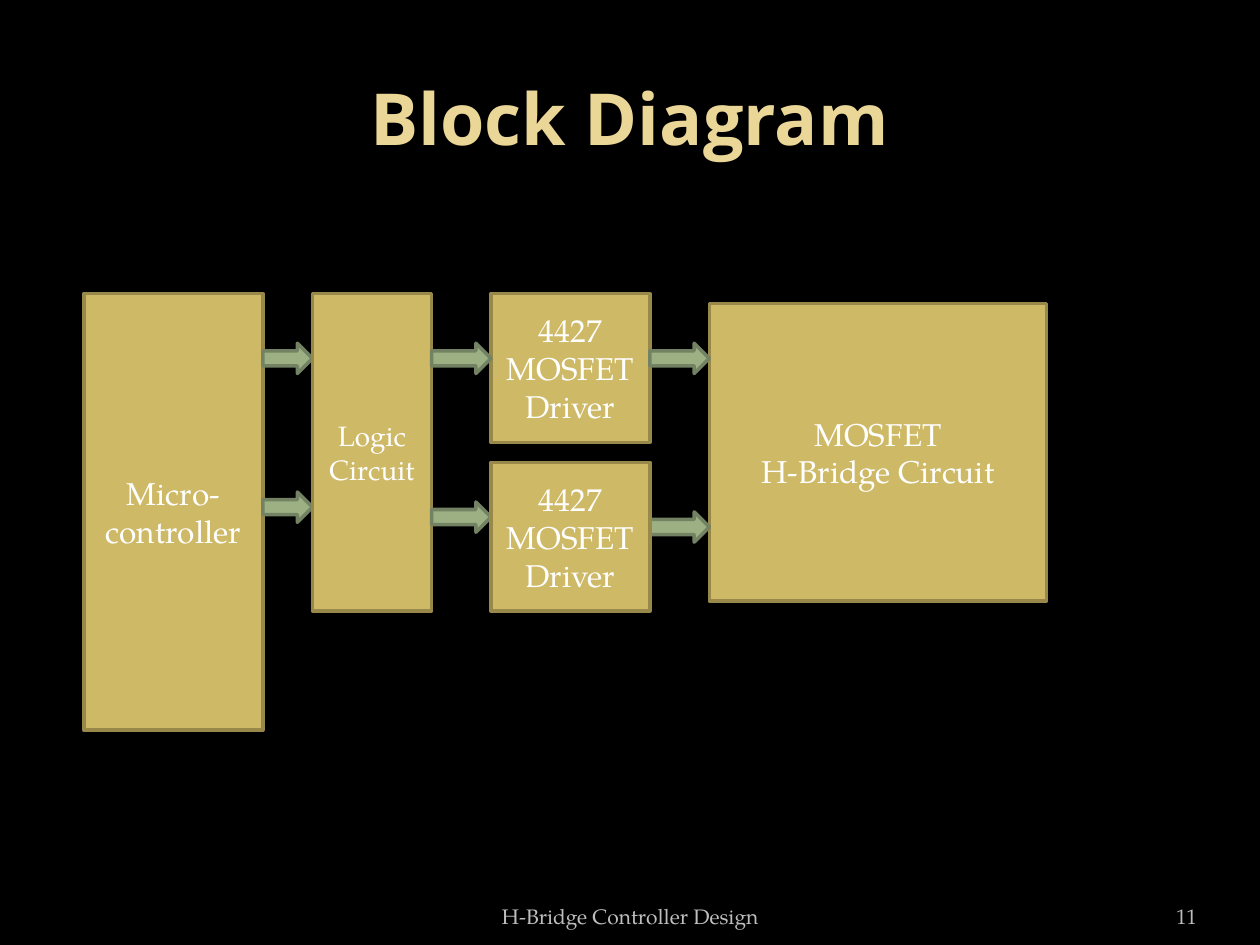
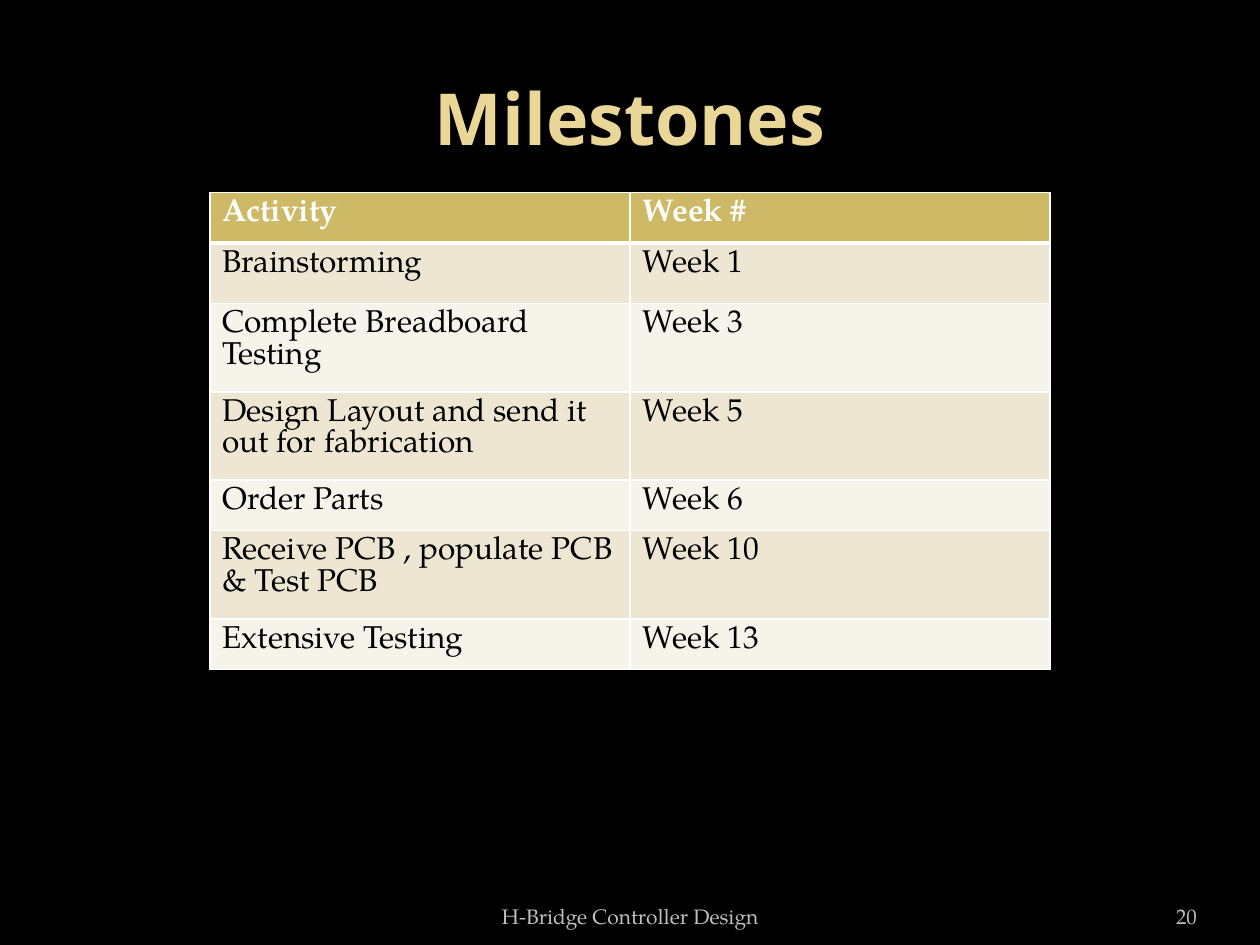
import lxml.etree
import pptx
import pptx.dml.color
import pptx.enum.shapes
import pptx.enum.text
import pptx.oxml.ns
import pptx.util

Cm = pptx.util.Cm
Pt = pptx.util.Pt
ALIGN = pptx.enum.text.PP_ALIGN
ANCHOR = pptx.enum.text.MSO_ANCHOR
SHAPE = pptx.enum.shapes.MSO_SHAPE

COLORS = {
    "background": "000000",
    "title": "EAD696",
    "footer": "BDBDBD",
    "block": "CEB966",
    "block_edge": "98894B",
    "arrow": "9CB084",
    "arrow_edge": "738262",
    "light": "FFFFFF",
    "dark": "000000",
    "odd_row": "EDE6D3",
    "even_row": "F6F3EA",
}
HEADING_FONT = "Open Sans"
BODY_FONT = "TeX Gyre Pagella"


def rgb(name):
    return pptx.dml.color.RGBColor.from_string(COLORS[name])


def write(frame, text, size=18, color="light", font=BODY_FONT, bold=False,
          align=ALIGN.CENTER, anchor=ANCHOR.MIDDLE):
    frame.word_wrap = True
    frame.vertical_anchor = anchor
    frame.text = text
    for paragraph in frame.paragraphs:
        paragraph.alignment = align
        for run in paragraph.runs:
            run.font.size = Pt(size)
            run.font.name = font
            run.font.bold = bold
            run.font.color.rgb = rgb(color)


class Deck:
    """Holds the shared style and the slide being built."""

    def __init__(self):
        self.presentation = pptx.Presentation()
        self.presentation.slide_width = Cm(25.4)
        self.presentation.slide_height = Cm(19.05)
        backdrop = self.presentation.slide_master.background.fill
        backdrop.solid()
        backdrop.fore_color.rgb = rgb("background")
        self.slide = None

    def start(self, title, number):
        self.slide = self.presentation.slides.add_slide(
            self.presentation.slide_layouts[5])
        heading = self.slide.shapes.title
        heading.left, heading.top = Cm(1.27), Cm(0.76)
        heading.width, heading.height = Cm(22.86), Cm(3.18)
        heading.text_frame.auto_size = pptx.enum.text.MSO_AUTO_SIZE.NONE
        write(heading.text_frame, title, size=41, color="title",
              font=HEADING_FONT, bold=True)
        self.footer("H-Bridge Controller Design", 8.68, 8.05)
        page = self.footer(str(number), 22.02, 2.11, ALIGN.RIGHT)
        page.margin_left = page.margin_right = 0

    def footer(self, text, left, width, align=ALIGN.CENTER):
        frame = self.slide.shapes.add_textbox(
            Cm(left), Cm(17.83), Cm(width), Cm(1.02)).text_frame
        write(frame, text, size=12, color="footer", align=align,
              anchor=ANCHOR.BOTTOM)
        return frame

    def shape(self, kind, left, top, width, height, color):
        shape = self.slide.shapes.add_shape(
            kind, Cm(left), Cm(top), Cm(width), Cm(height))
        shape.shadow.inherit = False
        shape.fill.solid()
        shape.fill.fore_color.rgb = rgb(color)
        shape.line.color.rgb = rgb(color + "_edge")
        shape.line.width = Pt(2)
        return shape

    def block(self, text, left, top, width, height, size=18):
        box = self.shape(SHAPE.RECTANGLE, left, top, width, height, "block")
        write(box.text_frame, text, size=size)

    def arrows(self, start, end, *tops):
        for top in tops:
            self.shape(SHAPE.RIGHT_ARROW, start, top, end - start, 0.61,
                       "arrow")

    def borders(self, cell, top, bottom):
        properties = cell._tc.get_or_add_tcPr()
        for side, width in (("L", 1), ("R", 1), ("T", top), ("B", bottom)):
            edge = lxml.etree.SubElement(
                properties, pptx.oxml.ns.qn("a:ln" + side), w=str(Pt(width)))
            paint = lxml.etree.SubElement(
                edge, pptx.oxml.ns.qn("a:solidFill"))
            lxml.etree.SubElement(
                paint, pptx.oxml.ns.qn("a:srgbClr"), val=COLORS["light"])

    def table(self, rows, heights, left, top, width):
        grid = self.slide.shapes.add_table(
            len(rows), len(rows[0]), Cm(left), Cm(top), Cm(width),
            Cm(sum(heights))).table
        for index, (values, height) in enumerate(zip(rows, heights)):
            header = index == 0
            band = ("block" if header
                    else "odd_row" if index % 2 else "even_row")
            grid.rows[index].height = Cm(height)
            for column, value in enumerate(values):
                cell = grid.cell(index, column)
                self.borders(cell, top=3 if index == 1 else 1,
                             bottom=3 if header else 1)
                cell.fill.solid()
                cell.fill.fore_color.rgb = rgb(band)
                write(cell.text_frame, value, bold=header,
                      color="light" if header else "dark",
                      align=ALIGN.LEFT, anchor=ANCHOR.TOP)
                cell.vertical_anchor = ANCHOR.TOP


deck = Deck()

deck.start("Block Diagram", 11)
driver = "4427\nMOSFET\nDriver"
deck.block("Micro-controller", 1.69, 5.92, 3.61, 8.8)
deck.block(driver, 9.9, 5.92, 3.2, 3)
deck.arrows(5.3, 6.3, 6.92, 9.92)
deck.block("Logic\nCircuit", 6.3, 5.92, 2.4, 6.4, size=16)
deck.arrows(8.7, 9.9, 6.92, 10.12)
deck.block("MOSFET\nH-Bridge Circuit", 14.3, 6.12, 6.8, 6)
deck.arrows(13.1, 14.3, 6.92, 10.32)
deck.block(driver, 9.9, 9.32, 3.2, 3)

deck.start("Milestones", 20)
milestones = [
    ("Activity", "Week #"),
    ("Brainstorming", "Week 1"),
    ("Complete Breadboard Testing", "Week 3"),
    ("Design Layout and send it out for fabrication", "Week 5"),
    ("Order Parts", "Week 6"),
    ("Receive PCB , populate PCB & Test PCB", "Week 10"),
    ("Extensive Testing", "Week 13"),
]
deck.table(milestones, [1.02, 1.22, 1.54, 1.54, 1.02, 1.54, 1.02],
           4.23, 3.88, 16.94)

deck.presentation.save("out.pptx")
